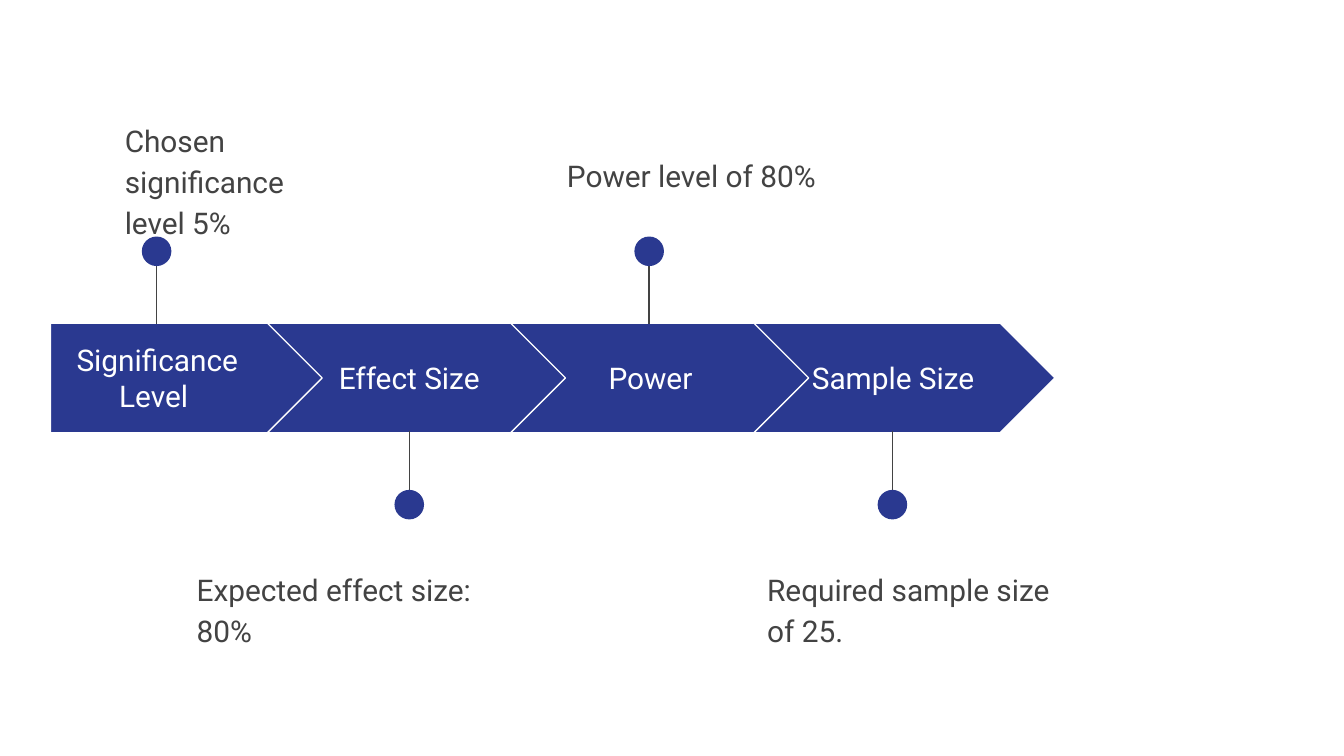
"""Build a slide of four linked study-design steps with pinned notes."""
from typing import NamedTuple

from lxml.etree import SubElement
from pptx import Presentation
from pptx.dml.color import RGBColor
from pptx.enum.shapes import MSO_CONNECTOR, MSO_SHAPE
from pptx.enum.text import MSO_ANCHOR, PP_ALIGN
from pptx.oxml.ns import qn
from pptx.slide import Slide
from pptx.util import Emu, Pt

EMU_PER_PX = 4572
PAGE_WIDTH, PAGE_HEIGHT = 2000, 1125
COLORS = {"navy": "2A3990", "white": "FFFFFF", "gray": "434343"}
FONT = "Roboto"
FIRST_LEFT, FIRST_WIDTH = 75, 410
CHEVRON_LEFT, CHEVRON_WIDTH, PITCH = 398, 448, 362
BAND_TOP, BAND_HEIGHT = 481, 163
LABEL_TOP, LABEL_HEIGHT = 511, 102
NOTE_HEIGHT, INSET = 198, 20
DOT = 44


class Box(NamedTuple):
    left: int
    top: int
    width: int
    height: int


class Step(NamedTuple):
    label: str
    label_left: int
    label_width: int
    pin_x: int
    above: bool
    note: str
    note_left: int
    note_top: int
    note_width: int
    note_gap: int


STEPS = [
    Step("Significance Level ", 75, 318, 233, True, "Chosen significance level 5%", 166, 154, 318, 16),
    Step("Effect Size", 465, 288, 609, False, "Expected effect size: 80%", 273, 823, 490, 16),
    Step("Power", 824, 288, 966, True, "Power level of 80%", 824, 207, 490, 0),
    Step("Sample Size", 1185, 288, 1328, False, "Required sample size of 25.", 1122, 823, 490, 16),
]


def px(length: int) -> Emu:
    return Emu(length * EMU_PER_PX)


def color(name: str) -> RGBColor:
    return RGBColor.from_string(COLORS[name])


def add_filled(page: Slide, kind: MSO_SHAPE, box: Box, outlined: bool) -> None:
    shape = page.shapes.add_shape(kind, *map(px, box))
    shape.shadow.inherit = False
    shape.fill.solid()
    shape.fill.fore_color.rgb = color("navy")
    if outlined:
        shape.line.color.rgb = color("white")
        shape.line.width = Pt(0.75)
    else:
        shape.line.fill.background()


def add_text(page: Slide, text: str, box: Box, ink: str, is_label: bool, gap: int = 0) -> None:
    frame = page.shapes.add_textbox(*map(px, box)).text_frame
    frame.word_wrap = True
    frame.margin_left = frame.margin_right = px(INSET)
    frame.margin_top = frame.margin_bottom = px(INSET)
    frame.vertical_anchor = MSO_ANCHOR.MIDDLE if is_label else MSO_ANCHOR.TOP
    para = frame.paragraphs[0]
    para.text = text
    para.alignment = PP_ALIGN.CENTER if is_label else PP_ALIGN.LEFT
    para.line_spacing = 1.0 if is_label else 1.15
    para.space_after = Pt(gap)
    para.font.name = FONT
    para.font.size = Pt(16)
    para.font.color.rgb = color(ink)


def add_pin(page: Slide, x: int, above: bool) -> None:
    start, end, dot_top = (360, 482, 352) if above else (764, 642, 729)
    stem = page.shapes.add_connector(MSO_CONNECTOR.STRAIGHT, px(x), px(start), px(x), px(end))
    stem.line.color.rgb = color("gray")
    stem.line.width = Pt(0.75)
    SubElement(stem.element.spPr, qn("a:effectLst"))
    add_filled(page, MSO_SHAPE.OVAL, Box(x - DOT // 2, dot_top, DOT, DOT), False)


def add_step(page: Slide, index: int, step: Step) -> None:
    if index == 0:
        kind, left, width = MSO_SHAPE.PENTAGON, FIRST_LEFT, FIRST_WIDTH
    else:
        kind, left, width = MSO_SHAPE.CHEVRON, CHEVRON_LEFT + (index - 1) * PITCH, CHEVRON_WIDTH
    add_filled(page, kind, Box(left, BAND_TOP, width, BAND_HEIGHT), True)
    label_box = Box(step.label_left, LABEL_TOP, step.label_width, LABEL_HEIGHT)
    add_text(page, step.label, label_box, "white", True)
    add_pin(page, step.pin_x, step.above)
    note_box = Box(step.note_left, step.note_top, step.note_width, NOTE_HEIGHT)
    add_text(page, step.note, note_box, "gray", False, step.note_gap)


def main() -> None:
    deck = Presentation()
    deck.slide_width, deck.slide_height = px(PAGE_WIDTH), px(PAGE_HEIGHT)
    page = deck.slides.add_slide(deck.slide_layouts[6])
    for index, step in enumerate(STEPS):
        add_step(page, index, step)
    deck.save("out.pptx")


if __name__ == "__main__":
    main()
